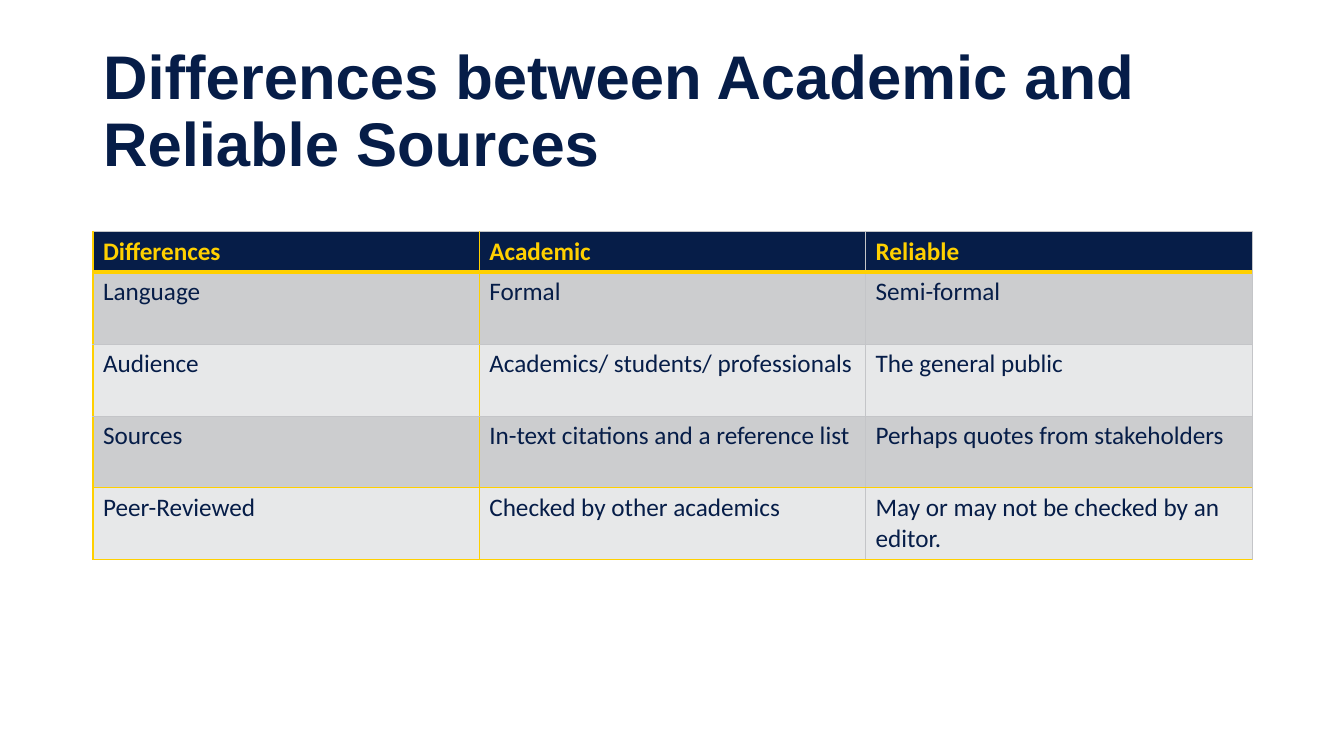
import dataclasses

import pptx
import pptx.dml.color
import pptx.enum.text
import pptx.oxml
import pptx.oxml.ns
import pptx.util


@dataclasses.dataclass(frozen=True)
class Theme:
    navy: str = "061D48"
    gold: str = "FFD000"
    dark: str = "CCCDCF"
    light: str = "E7E8E9"
    rule: str = "C4C5C8"
    head_font: str = "Arial"
    body_font: str = "Calibri"
    head_size: int = 44
    body_size: int = 18


THEME = Theme()
THIN, FINE, THICK = 0.5, 1, 3
TITLE = "Differences between Academic and Reliable Sources"
ROWS = [
    ["Differences", "Academic", "Reliable"],
    ["Language", "Formal", "Semi-formal"],
    ["Audience", "Academics/ students/ professionals", "The general public"],
    ["Sources", "In-text citations and a reference list",
     "Perhaps quotes from stakeholders"],
    ["Peer-Reviewed", "Checked by other academics",
     "May or may not be checked by an editor."],
]


def px(count):
    return pptx.util.Emu(round(count * 12192000 / 1344))


def rgb(code):
    return pptx.dml.color.RGBColor.from_string(code)


def add_run(para, text, font, size, color, bold):
    run = para.add_run()
    run.text = text
    run.font.name = font
    run.font.size = pptx.util.Pt(size)
    run.font.color.rgb = rgb(color)
    run.font.bold = bold


def add_edge(cell, side, color, width):
    """Draw one cell border; call in the order L, R, T, B, before the fill."""
    space = pptx.oxml.ns.nsdecls("a")
    line = pptx.oxml.parse_xml(
        f'<a:ln{side} {space} w="{pptx.util.Pt(width)}"><a:solidFill>'
        f'<a:srgbClr val="{color}"/></a:solidFill></a:ln{side}>')
    cell._tc.get_or_add_tcPr().append(line)


def row_edge(index):
    """Give the colour and width of the line above the row at this index."""
    last = len(ROWS) - 1
    if index == 1:
        return THEME.gold, THICK
    if index >= last:
        return THEME.gold, FINE
    return THEME.rule, THIN


def col_edge(index):
    """Give the colour and width of the line left of this column."""
    return (THEME.gold, FINE) if index < 2 else (THEME.rule, THIN)


def fill_cell(cell, row, col, text):
    add_edge(cell, "L", *col_edge(col))
    add_edge(cell, "R", *col_edge(col + 1))
    add_edge(cell, "T", *row_edge(row))
    add_edge(cell, "B", *row_edge(row + 1))
    head = row == 0
    band = THEME.dark if row % 2 else THEME.light
    cell.fill.solid()
    cell.fill.fore_color.rgb = rgb(THEME.navy if head else band)
    add_run(cell.text_frame.paragraphs[0], text, THEME.body_font,
            THEME.body_size, THEME.gold if head else THEME.navy, head)


def add_title(slide, text):
    title = slide.shapes.title
    title.left, title.top = px(93), px(40)
    title.width, title.height = px(1159), px(146)
    frame = title.text_frame
    frame.word_wrap = True
    frame.auto_size = pptx.enum.text.MSO_AUTO_SIZE.NONE
    frame.vertical_anchor = pptx.enum.text.MSO_ANCHOR.MIDDLE
    para = frame.paragraphs[0]
    para.alignment = pptx.enum.text.PP_ALIGN.LEFT
    para.line_spacing = 0.9
    add_run(para, text, THEME.head_font, THEME.head_size, THEME.navy, True)


def add_grid(slide, rows):
    heights = [40] + [72] * (len(rows) - 1)
    frame = slide.shapes.add_table(len(rows), len(rows[0]), px(93), px(231),
                                   px(1159), px(sum(heights)))
    table = frame.table
    for line, height in zip(table.rows, heights):
        line.height = px(height)
    for row, texts in enumerate(rows):
        for col, text in enumerate(texts):
            fill_cell(table.cell(row, col), row, col, text)


def main():
    deck = pptx.Presentation()
    deck.slide_width, deck.slide_height = px(1344), px(756)
    slide = deck.slides.add_slide(deck.slide_layouts[5])
    add_title(slide, TITLE)
    add_grid(slide, ROWS)
    deck.save("out.pptx")


if __name__ == "__main__":
    main()
